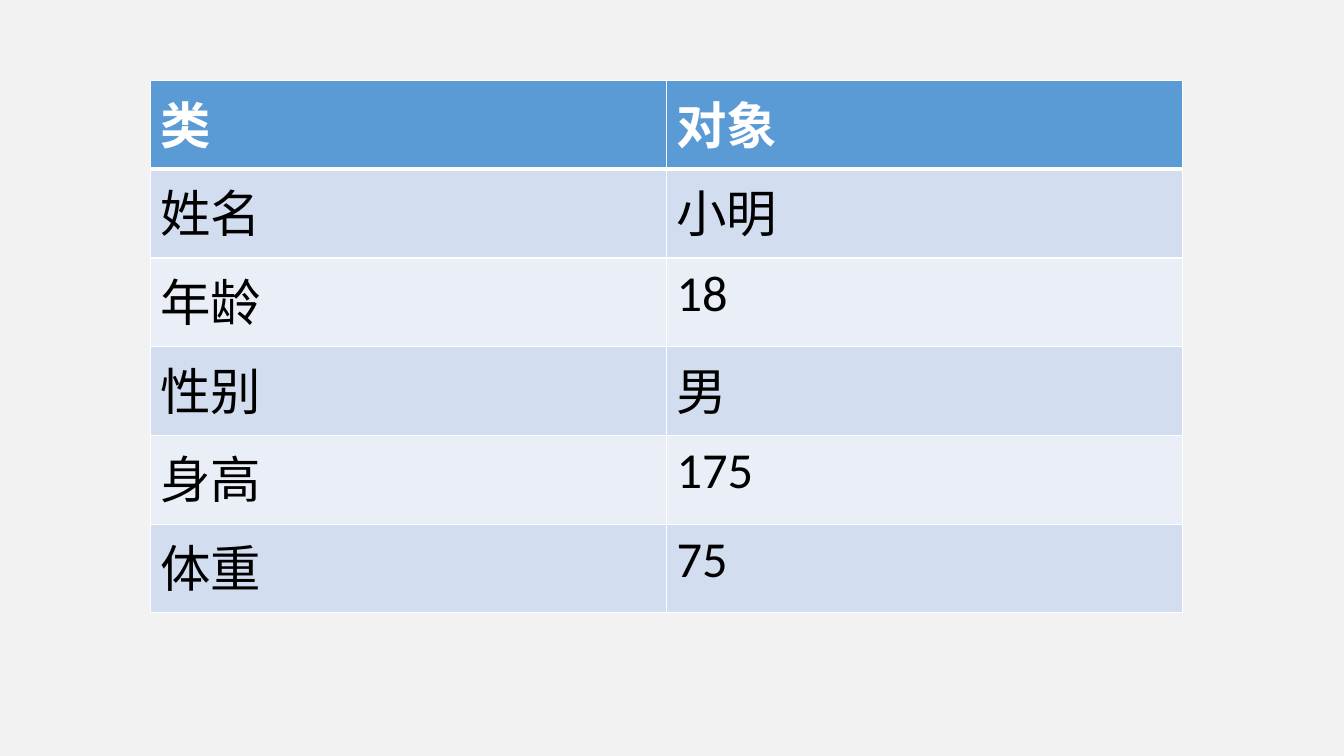
"""Builds a slide with a table that sets a class's attributes beside an object's values."""
from lxml import etree
from pptx import Presentation
from pptx import util as u
from pptx.dml.color import RGBColor
from pptx.oxml import ns


def color(hex_value):
    return RGBColor.from_string(hex_value)


def add_border(cell, side, points, hex_value):
    line = etree.SubElement(cell._tc.get_or_add_tcPr(), ns.qn(f"a:ln{side}"), w=str(u.Pt(points)))
    fill = etree.SubElement(line, ns.qn("a:solidFill"))
    etree.SubElement(fill, ns.qn("a:srgbClr"), val=hex_value)


WHITE = "FFFFFF"
HEADER_FILL = "5B9BD5"
BAND_FILLS = ["EAEFF7", "D2DEEF"]
HEADER_FONT = {"name": "Calibri", "size": u.Pt(36), "bold": True}
BODY_FONT = {**HEADER_FONT, "bold": False}

attributes = [
    ("类", "对象"),
    ("姓名", "小明"),
    ("年龄", "18"),
    ("性别", "男"),
    ("身高", "175"),
    ("体重", "75"),
]
column_width, row_height = u.Inches(5.12), u.Inches(0.88)

deck = Presentation()
deck.slide_width, deck.slide_height = u.Inches(13.33), u.Inches(7.5)
slide = deck.slides.add_slide(deck.slide_layouts[6])
slide.background.fill.solid()
slide.background.fill.fore_color.rgb = color("F2F2F2")

comparison = slide.shapes.add_table(
    len(attributes), 2, u.Inches(1.49), u.Inches(0.8),
    2 * column_width, len(attributes) * row_height).table
for column in comparison.columns:
    column.width = column_width

for row, entries in enumerate(attributes):
    comparison.rows[row].height = row_height
    is_header = row == 0
    for column, entry in enumerate(entries):
        cell = comparison.cell(row, column)
        for side in "LRTB":
            header_rule = (is_header and side == "B") or (row == 1 and side == "T")
            add_border(cell, side, 3 if header_rule else 1, WHITE)
        cell.fill.solid()
        cell.fill.fore_color.rgb = color(HEADER_FILL if is_header else BAND_FILLS[row % 2])
        run = cell.text_frame.paragraphs[0].add_run()
        run.text = entry
        for attribute, value in (HEADER_FONT if is_header else BODY_FONT).items():
            setattr(run.font, attribute, value)
        run.font.color.rgb = color(WHITE if is_header else "000000")

deck.save("out.pptx")
